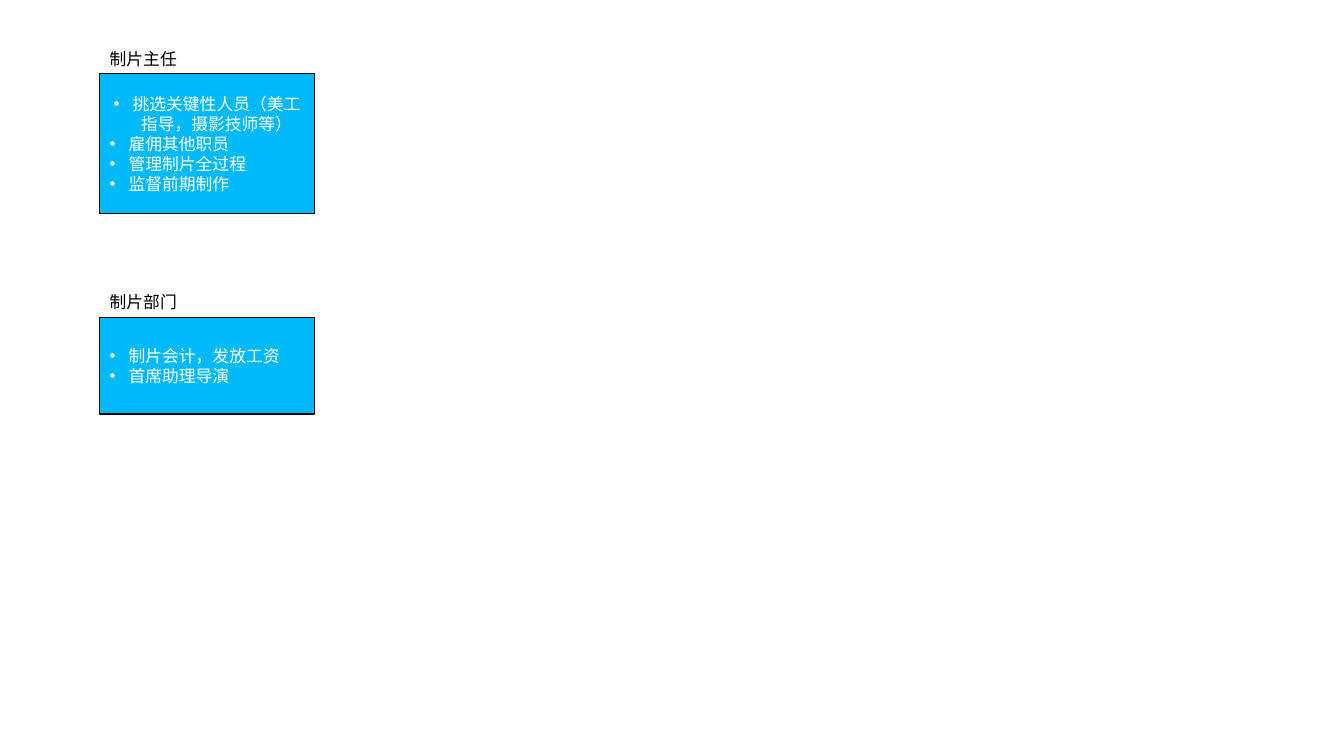
from lxml import etree
from pptx import Presentation
from pptx.dml.color import RGBColor
from pptx.enum.shapes import MSO_SHAPE
from pptx.enum.text import MSO_ANCHOR, MSO_AUTO_SIZE, PP_ALIGN
from pptx.oxml.ns import qn
from pptx.util import Pt

RECTANGLE = MSO_SHAPE.RECTANGLE
MIDDLE = MSO_ANCHOR.MIDDLE
GROW = MSO_AUTO_SIZE.SHAPE_TO_FIT_TEXT
LEFT = PP_ALIGN.LEFT
CENTER = PP_ALIGN.CENTER
JUSTIFY = PP_ALIGN.JUSTIFY

COLUMN_LEFT = 71.3
BOX_WIDTH = 153.4
CAPTION_WIDTH = 74.9
CAPTION_HEIGHT = 21.6
BULLET_INDENT = 13.5

DEPARTMENTS = [
    ("制片主任", 52.6, 100.1, [
        ("挑选关键性人员（美工指导，摄影技师等）", CENTER),
        ("雇佣其他职员", LEFT),
        ("管理制片全过程", LEFT),
        ("监督前期制作", LEFT),
    ]),
    ("制片部门", 226.8, 69.1, [
        ("制片会计，发放工资", LEFT),
        ("首席助理导演", LEFT),
    ]),
]


def color(value):
    return RGBColor.from_string(value)


def write_text(paragraph, text, *, font, fill, size=12, align=LEFT, bullet=None):
    paragraph.alignment = align
    run = paragraph.add_run()
    run.text = text
    run.font.name = font
    run.font.size = Pt(size)
    run.font.color.rgb = color(fill)
    east_asian = etree.SubElement(run._r.get_or_add_rPr(), qn("a:ea"))
    east_asian.set("typeface", font)
    if bullet:
        properties = paragraph._p.get_or_add_pPr()
        properties.set("marL", str(Pt(BULLET_INDENT)))
        properties.set("indent", str(-Pt(BULLET_INDENT)))
        etree.SubElement(properties, qn("a:buFont")).set("typeface", "Arial")
        etree.SubElement(properties, qn("a:buChar")).set("char", bullet)


class SlideBuilder:
    box_fill = "00B9FB"
    box_line = "000000"
    box_text = "FFFFFF"
    caption_text = "000000"
    box_font = "Noto Sans CJK SC"
    caption_font = "Noto Sans Mono"

    def __init__(self, slide):
        self.slide = slide

    def caption(self, text, left, top, width, height):
        shape = self.slide.shapes.add_textbox(Pt(left), Pt(top), Pt(width), Pt(height))
        frame = shape.text_frame
        frame.word_wrap = True
        frame.auto_size = GROW
        write_text(frame.paragraphs[0], text, font=self.caption_font,
                   fill=self.caption_text, align=JUSTIFY)

    def bullet_box(self, items, left, top, width, height):
        shape = self.slide.shapes.add_shape(
            RECTANGLE, Pt(left), Pt(top), Pt(width), Pt(height))
        shape.shadow.inherit = False
        shape.fill.solid()
        shape.fill.fore_color.rgb = color(self.box_fill)
        shape.line.color.rgb = color(self.box_line)
        shape.line.width = Pt(1)
        frame = shape.text_frame
        frame.word_wrap = True
        frame.vertical_anchor = MIDDLE
        for index, (text, align) in enumerate(items):
            paragraph = frame.add_paragraph() if index else frame.paragraphs[0]
            write_text(paragraph, text, font=self.box_font, fill=self.box_text,
                       align=align, bullet="•")


presentation = Presentation()
presentation.slide_width = Pt(960)
presentation.slide_height = Pt(540)
builder = SlideBuilder(presentation.slides.add_slide(presentation.slide_layouts[6]))

for title, top, height, duties in DEPARTMENTS:
    builder.bullet_box(duties, COLUMN_LEFT, top, BOX_WIDTH, height)
    builder.caption(title, COLUMN_LEFT, top - CAPTION_HEIGHT, CAPTION_WIDTH, CAPTION_HEIGHT)

presentation.save("out.pptx")
